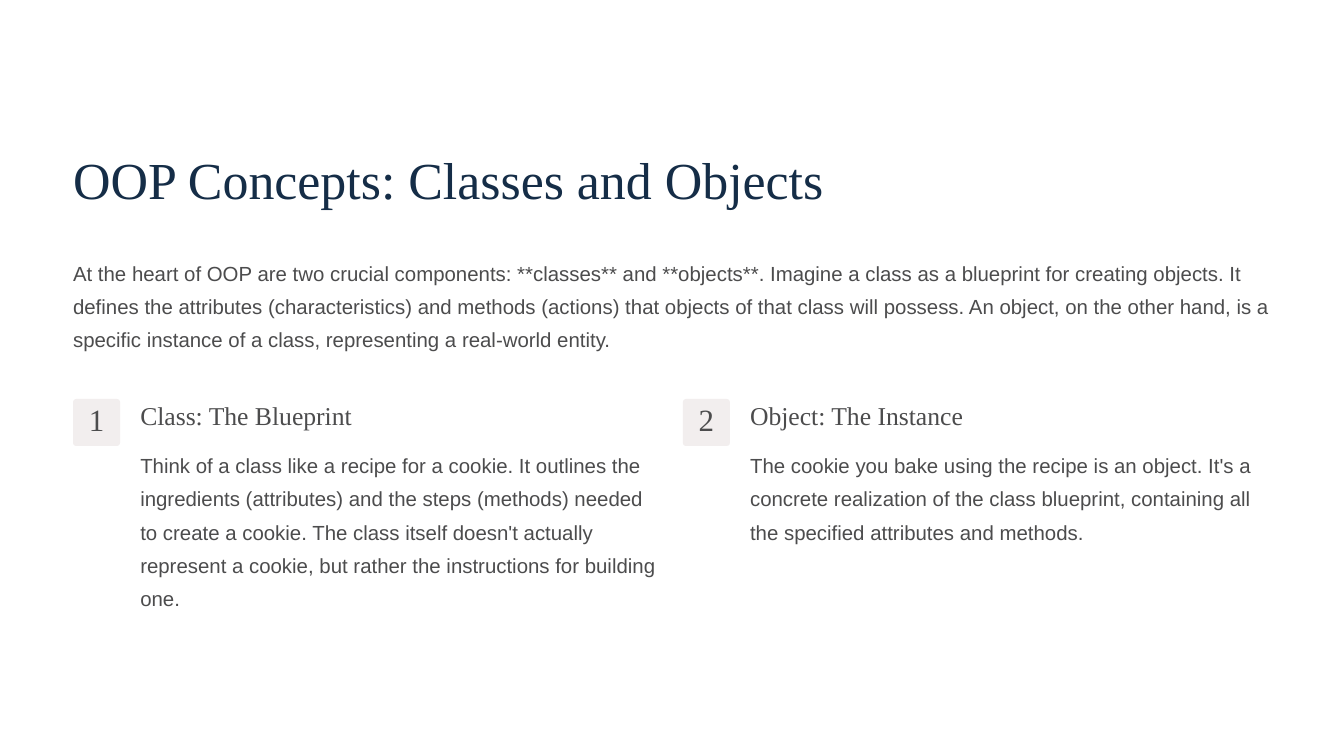
"""Builds a slide that explains classes and objects in two numbered columns."""
import pptx
import pptx.dml.color
import pptx.enum.shapes
import pptx.enum.text
import pptx.util

Inches = pptx.util.Inches
Pt = pptx.util.Pt
Align = pptx.enum.text.PP_ALIGN
Anchor = pptx.enum.text.MSO_ANCHOR

theme = {
    "paper": "FFFFFF",
    "tile": "F2EEEE",
    "title": ("Times New Roman", 44.5, 55.5, "152D47"),
    "number": ("Times New Roman", 26.5, 26.5, "4C4C4D"),
    "head": ("Times New Roman", 22, 27.5, "4C4C4D"),
    "body": ("Arial", 17.5, 28.5, "4C4C4D"),
}


def color(name):
    return pptx.dml.color.RGBColor.from_string(name)


def write(shape, text, style, wrap=True, align=Align.LEFT, anchor=Anchor.TOP):
    face, size, line, ink = theme[style]
    frame = shape.text_frame
    frame.text = text
    frame.auto_size = pptx.enum.text.MSO_AUTO_SIZE.NONE
    frame.word_wrap = wrap
    frame.vertical_anchor = anchor
    frame.margin_left = frame.margin_right = 0
    frame.margin_top = frame.margin_bottom = 0
    para = frame.paragraphs[0]
    para.alignment = align
    para.line_spacing = Pt(line)
    font = para.runs[0].font
    font.name, font.size = face, Pt(size)
    font.color.rgb = color(ink)


deck = pptx.Presentation()
deck.slide_width, deck.slide_height = Inches(16), Inches(9)
slide = deck.slides.add_slide(deck.slide_layouts[5])
slide.background.fill.solid()
slide.background.fill.fore_color.rgb = color(theme["paper"])
shapes = slide.shapes

left = 0.87
title = shapes.title
title.left, title.top = Inches(left), Inches(1.73)
title.width, title.height = Inches(8.96), Inches(0.78)
write(title, "OOP Concepts: Classes and Objects", "title", wrap=False)

intro = shapes.add_textbox(Inches(left), Inches(3), Inches(14.26), Inches(1.19))
write(intro, "At the heart of OOP are two crucial components: **classes** and "
      "**objects**. Imagine a class as a blueprint for creating objects. It "
      "defines the attributes (characteristics) and methods (actions) that "
      "objects of that class will possess. An object, on the other hand, is a "
      "specific instance of a class, representing a real-world entity.", "body")

points = [
    ("Class: The Blueprint",
     "Think of a class like a recipe for a cookie. It outlines the ingredients "
     "(attributes) and the steps (methods) needed to create a cookie. The class "
     "itself doesn't actually represent a cookie, but rather the instructions "
     "for building one.", 1.98),
    ("Object: The Instance",
     "The cookie you bake using the recipe is an object. It's a concrete "
     "realization of the class blueprint, containing all the specified "
     "attributes and methods.", 1.19),
]
top, side, pitch, indent = 4.75, 0.56, 7.26, 0.8

for count, (head, body, height) in enumerate(points):
    x = left + count * pitch
    tile = shapes.add_shape(
        pptx.enum.shapes.MSO_SHAPE.ROUNDED_RECTANGLE,
        Inches(x), Inches(top), Inches(side), Inches(side))
    tile.adjustments[0] = 0.07
    tile.shadow.inherit = False
    tile.fill.solid()
    tile.fill.fore_color.rgb = color(theme["tile"])
    tile.line.fill.background()
    write(tile, str(count + 1), "number", wrap=False,
          align=Align.CENTER, anchor=Anchor.MIDDLE)

    label = shapes.add_textbox(
        Inches(x + indent), Inches(top), Inches(3.1), Inches(0.39))
    write(label, head, "head", wrap=False)
    detail = shapes.add_textbox(
        Inches(x + indent), Inches(5.29), Inches(6.2), Inches(height))
    write(detail, body, "body")

deck.save("out.pptx")
